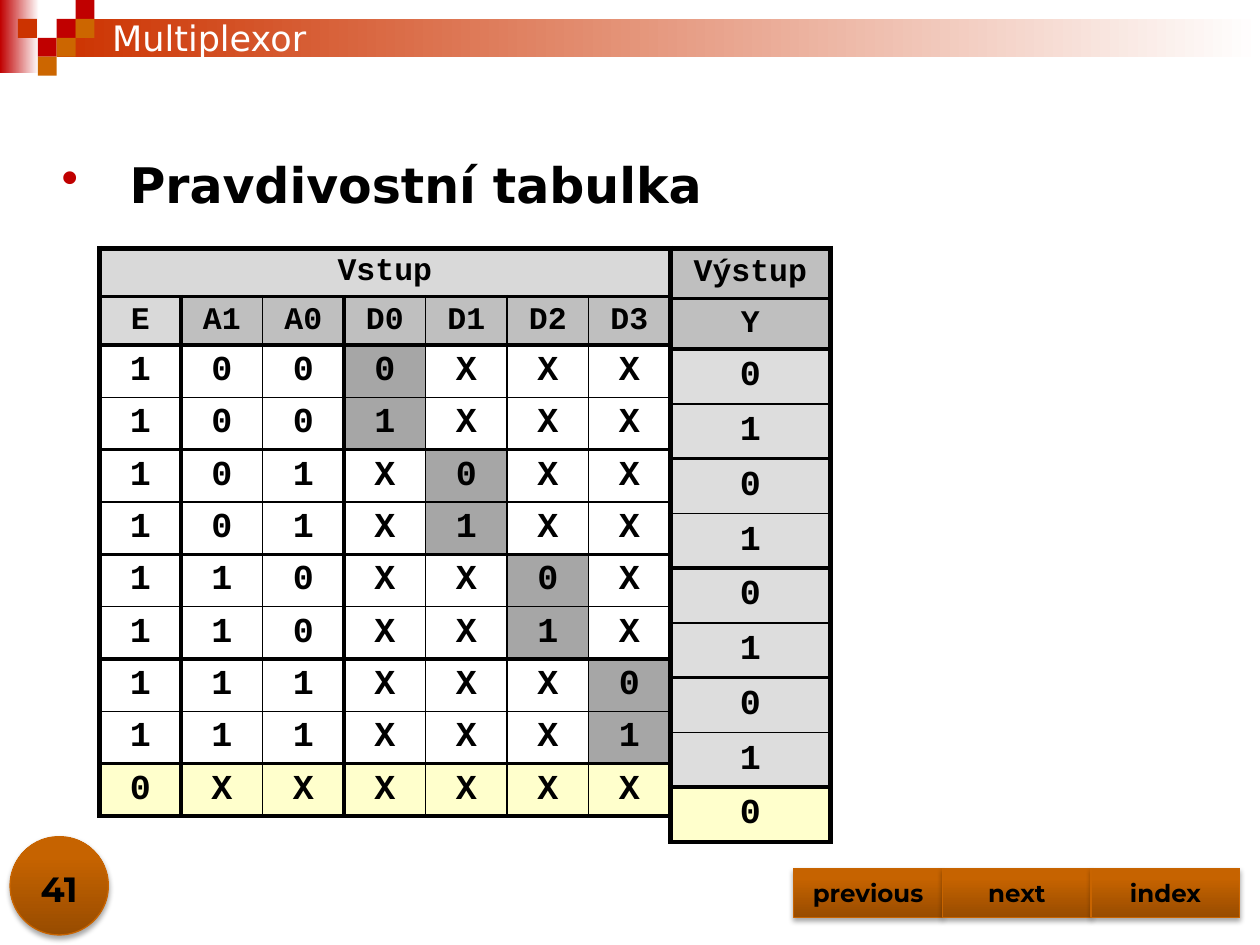
from copy import deepcopy
from lxml.etree import SubElement
from pptx import Presentation
from pptx.dml.color import RGBColor
from pptx.enum.shapes import MSO_SHAPE
from pptx.enum.text import MSO_ANCHOR, PP_ALIGN
from pptx.oxml.ns import qn
from pptx.util import Inches, Pt

C = {"red": "C00000", "orange": "CC3300", "amber": "CC6600", "white": "FFFFFF",
     "black": "000000", "light": "D9D9D9", "mid": "BFBFBF", "dark": "A6A6A6",
     "output": "DDDDDD", "yellow": "FFFFCC", "edge": "C86400",
     "deep": "984C00", "warm": "C66300", "top": "C76300"}
RGB = {name: RGBColor.from_string(value) for name, value in C.items()}


def write(tf, text, font, size, bold=True, color="black", align=PP_ALIGN.CENTER,
          anchor=MSO_ANCHOR.MIDDLE):
    tf.vertical_anchor = anchor
    p = tf.paragraphs[0]
    p.alignment = align
    r = p.add_run()
    r.text = text
    r.font.name, r.font.size, r.font.bold = font, Pt(size), bold
    r.font.color.rgb = RGB[color]
    return p


def add_block(kind, x, y, w, h, colors, angle=0):
    sp = s.shapes.add_shape(kind, Inches(x), Inches(y), Inches(w), Inches(h))
    sp.shadow.inherit = False
    sp.line.fill.background()
    if len(colors) == 1:
        sp.fill.solid()
        sp.fill.fore_color.rgb = RGB[colors[0]]
    else:
        sp.fill.gradient()
        sp.fill.gradient_angle = angle
        for stop, color in zip(sp.fill.gradient_stops, colors):
            stop.color.rgb = RGB[color]
    return sp


prs = Presentation()
prs.slide_width, prs.slide_height = Inches(10), Inches(7.5)
s = prs.slides.add_slide(prs.slide_layouts[5])

# Header band and checker squares on a fine grid
U = 0.15
add_block(MSO_SHAPE.RECTANGLE, 0, 0, 0.31, 0.58, ["red", "white"])
add_block(MSO_SHAPE.RECTANGLE, 3 * U, U, 10 - 3 * U, 2 * U, ["orange", "white"])
for col, row, color in [(3, 1, "red"), (4, 0, "red"), (4, 1, "amber"), (2, 2, "red"),
                        (0.95, 1, "orange"), (3, 2, "amber"), (2, 3, "amber")]:
    add_block(MSO_SHAPE.RECTANGLE, col * U, row * U, U, U, [color])

# Truth table: inputs and output side by side
inputs = [["Vstup"] + [""] * 6, "E A1 A0 D0 D1 D2 D3".split()]
outputs = [["Výstup"], ["Y"]]
for address in range(4):
    for bit in "01":
        data = ["X"] * 4
        data[address] = bit
        inputs.append(["1", *f"{address:02b}", *data])
        outputs.append([bit])
inputs.append(["0"] + ["X"] * 6)
outputs.append(["0"])

H_EDGES = [3, 2.25, 3] + [1, 2.25] * 4 + [3]
V_EDGES = [3, 2.25, 1, 2.25, 1, 1, 1, 1]
LEFT, TOP, COL = 0.79, 1.97, 4.53 / 7

for rows, x, col_w, heights, v_edges in [
        (inputs, LEFT, COL, (27.6, 29.9), V_EDGES),
        (outputs, LEFT + 7 * COL, 1.27, (28.8, 31.3), [3, 3])]:
    n = len(rows[0])
    tbl = s.shapes.add_table(len(rows), n, Inches(x), Inches(TOP),
                             Inches(n * col_w), Inches(4.7)).table
    tbl.first_row = tbl.horz_banding = False
    for column in tbl.columns:
        column.width = Inches(col_w)
    for i, values in enumerate(rows):
        tbl.rows[i].height = Pt(heights[i > 1])
        for j, value in enumerate(values):
            cell = tbl.cell(i, j)
            # Borders; the merged heading has no inner verticals
            sides = {"a:lnL": v_edges[j], "a:lnR": v_edges[j + 1],
                     "a:lnT": H_EDGES[i], "a:lnB": H_EDGES[i + 1]}
            if i == 0 and j > 0:
                del sides["a:lnL"]
            if i == 0 and j < n - 1:
                del sides["a:lnR"]
            for tag, width in sides.items():
                ln = SubElement(cell._tc.get_or_add_tcPr(), qn(tag), w=str(Pt(width)))
                SubElement(SubElement(ln, qn("a:solidFill")), qn("a:srgbClr"), val=C["black"])
            # Fill
            if i == len(rows) - 1:
                color = "yellow"
            elif i < 2:
                color = "light" if n > 1 and (i == 0 or j == 0) else "mid"
            elif n == 1:
                color = "output"
            else:
                color = "dark" if j > 2 and value != "X" else None
            if color:
                cell.fill.solid()
                cell.fill.fore_color.rgb = RGB[color]
            else:
                cell.fill.background()
            cell.vertical_anchor = MSO_ANCHOR.MIDDLE
            if value:
                write(cell.text_frame, value, "Courier New", 18 if i < 2 else 20)
    if n > 1:
        tbl.cell(0, 0).merge(tbl.cell(0, n - 1))

# Bulleted heading
tf = s.shapes.add_textbox(Inches(0.39), Inches(1.18), Inches(9.61), Inches(0.57)).text_frame
tf.word_wrap = True
pPr = tf.paragraphs[0]._p.get_or_add_pPr()
pPr.set("marL", str(Inches(0.54)))
pPr.set("indent", str(-Inches(0.54)))
SubElement(SubElement(pPr, qn("a:buClr")), qn("a:srgbClr"), val=C["red"])
SubElement(pPr, qn("a:buChar"), char="•")
write(tf, "Pravdivostní tabulka", "DejaVu Sans", 28, align=PP_ALIGN.LEFT,
      anchor=MSO_ANCHOR.TOP)

# Title, brought in front of the header band
title = s.shapes.title
title.left, title.top, title.width, title.height = map(Inches, (LEFT, 0.08, 8.5, 0.44))
write(title.text_frame, "Multiplexor", "DejaVu Sans", 20, False, "white", PP_ALIGN.LEFT)
s.shapes._spTree.append(title._element)

# Page disc and navigation buttons
BTN = 1.18
buttons = [(MSO_SHAPE.OVAL, 0.08, 6.64, 0.78, 0.78, "")]
for k, label in enumerate(["previous", "next", "index"]):
    buttons.append((MSO_SHAPE.ACTION_BUTTON_CUSTOM, 6.3 + k * BTN, 6.89, BTN, 0.39, label))
for kind, x, y, w, h, label in buttons:
    sp = add_block(kind, x, y, w, h, ["deep", "warm"], 90)
    sp.line.color.rgb = RGB["edge"]
    sp.line.width = Pt(0.75)
    # Third gradient stop and soft shadow
    stops = sp._element.spPr.find(".//" + qn("a:gsLst"))
    stops.append(deepcopy(stops[1]))
    stops[1].set("pos", "80000")
    sp.fill.gradient_stops[2].color.rgb = RGB["top"]
    shadow = SubElement(sp._element.spPr.find(qn("a:effectLst")), qn("a:outerShdw"),
                        blurRad=str(Pt(3.1)), dist=str(Pt(1.8)), dir="5400000", rotWithShape="0")
    tint = SubElement(shadow, qn("a:srgbClr"), val=C["black"])
    SubElement(tint, qn("a:alpha"), val="35000")
    if label:
        write(sp.text_frame, label, "Montserrat", 14)

# Page number
tf = s.shapes.add_textbox(0, Inches(6.77), Inches(0.94), Inches(0.5)).text_frame
tf.word_wrap = True
write(tf, "41", "Montserrat", 20, anchor=MSO_ANCHOR.BOTTOM)

prs.save("out.pptx")
